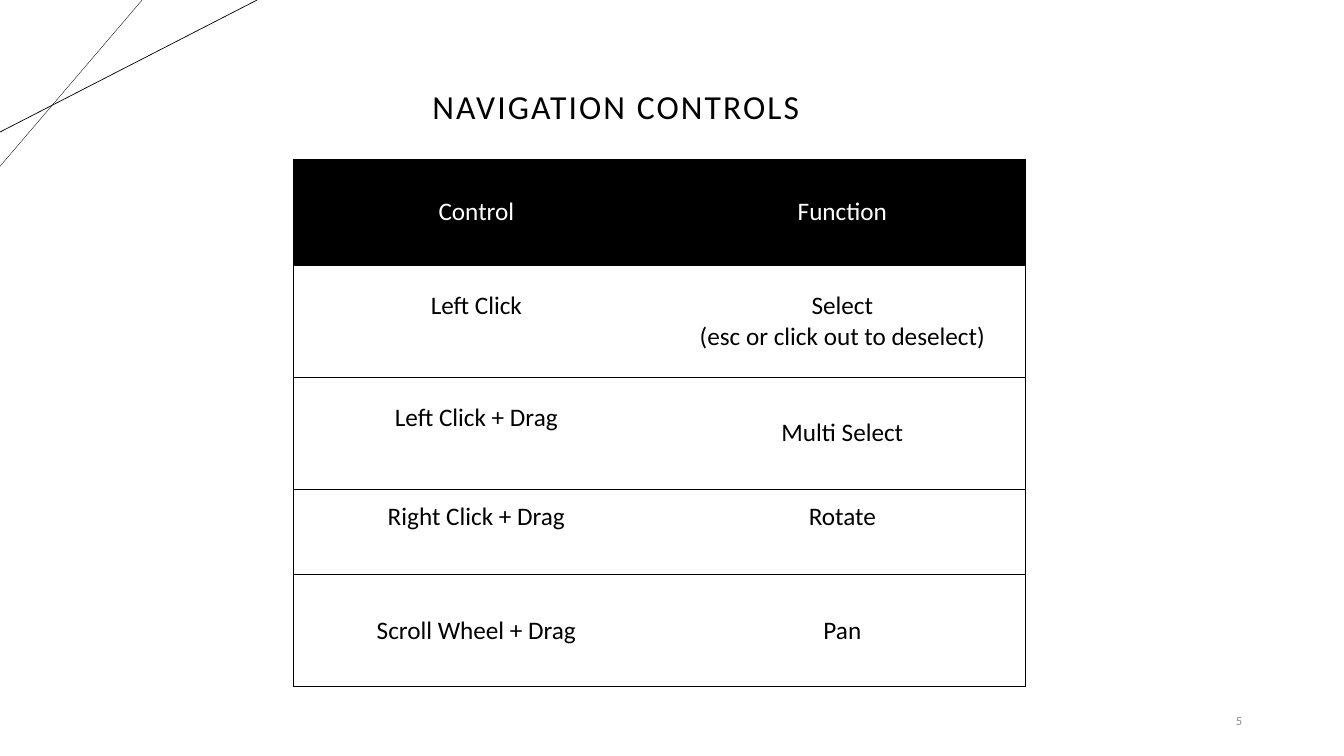
"""Build the slide on navigation controls."""
from dataclasses import dataclass

from lxml import etree
from pptx import Presentation
from pptx import util as u
from pptx.dml import color
from pptx.enum import shapes, text
from pptx.oxml import ns
from pptx.slide import Slide
from pptx.table import _Cell
from pptx.text.text import TextFrame

ALIGN = text.PP_ALIGN
MIDDLE = text.MSO_ANCHOR.MIDDLE


@dataclass(frozen=True)
class Theme:
    """Colours, font and type sizes."""
    ink: str = "000000"
    paper: str = "FFFFFF"
    muted: str = "8C8C8C"
    font: str = "Calibri"
    title: float = 24
    body: float = 18
    small: float = 9
    rule: float = 0.5
    hair: float = 0.25


@dataclass(frozen=True)
class Line:
    """A corner line from the top edge to the left edge."""
    top: float
    left: float
    width: float


@dataclass(frozen=True)
class Label:
    """A text box with its place and format."""
    words: str
    box: tuple[float, float, float, float]
    size: float
    tint: str
    align: ALIGN
    track: int = 0


@dataclass(frozen=True)
class Row:
    """A table row; lift raises the text of each cell."""
    height: float
    words: tuple[str, str]
    lift: tuple[float, float] = (0, 0)


THEME = Theme()
LINES = (Line(1.41, 1.65, THEME.hair), Line(2.55, 1.31, THEME.rule))
LABELS = (
    Label("NAVIGATION CONTROLS", (4.19, 0, 4.85, 2.1), THEME.title,
          THEME.ink, ALIGN.LEFT, 150),
    Label("5", (11.34, 6.95, 1.08, 0.4), THEME.small, THEME.muted, ALIGN.RIGHT),
)
LIFT = 0.3
ROWS = (
    Row(1.05, ("Control", "Function")),
    Row(1.11, ("Left Click", "Select\n(esc or click out to deselect)"), (LIFT, 0)),
    Row(1.11, ("Left Click + Drag", "Multi Select"), (LIFT, 0)),
    Row(0.85, ("Right Click + Drag", "Rotate"), (LIFT, LIFT)),
    Row(1.11, ("Scroll Wheel + Drag", "Pan")),
)
LEFT, TOP, WIDTH = 2.91, 1.58, 3.63
PAD = 0.05


def write(frame: TextFrame, words: str, size: float, tint: str,
          align: ALIGN, track: int = 0) -> None:
    """Fill a frame with formatted paragraphs."""
    frame.text = words
    style = {"name": THEME.font, "size": u.Pt(size), "bold": False}
    for para in frame.paragraphs:
        para.alignment = align
        for run in para.runs:
            for key, value in style.items():
                setattr(run.font, key, value)
            run.font.color.rgb = color.RGBColor.from_string(tint)
            if track:
                run._r.get_or_add_rPr().set("spc", str(track))


def draw_line(slide: Slide, line: Line) -> None:
    """Draw one corner line."""
    rule = slide.shapes.add_connector(
        shapes.MSO_CONNECTOR.STRAIGHT, u.Inches(line.top), u.Inches(0),
        u.Inches(0), u.Inches(line.left))
    rule.line.color.rgb = color.RGBColor.from_string(THEME.ink)
    rule.line.width = u.Pt(line.width)
    etree.SubElement(rule._element.spPr, ns.qn("a:effectLst"))


def draw_label(slide: Slide, label: Label) -> None:
    """Draw one text box."""
    frame = slide.shapes.add_textbox(*map(u.Inches, label.box)).text_frame
    frame.word_wrap = True
    frame.vertical_anchor = MIDDLE
    write(frame, label.words, label.size, label.tint, label.align, label.track)


def edge(cell: _Cell, side: str, shown: bool) -> None:
    """Set one cell border, or hide it."""
    props = cell._tc.get_or_add_tcPr()
    line = etree.SubElement(props, ns.qn(f"a:ln{side}"), w=str(u.Pt(THEME.rule)))
    fill = etree.SubElement(line, ns.qn("a:solidFill" if shown else "a:noFill"))
    if shown:
        etree.SubElement(fill, ns.qn("a:srgbClr"), val=THEME.ink)


def draw_table(slide: Slide, rows: tuple[Row, ...]) -> None:
    """Draw the table of controls."""
    count = len(rows[0].words)
    height = sum(row.height for row in rows)
    table = slide.shapes.add_table(
        len(rows), count, u.Inches(LEFT), u.Inches(TOP),
        u.Inches(WIDTH * count), u.Inches(height)).table
    table.first_row = table.horz_banding = False
    for col in table.columns:
        col.width = u.Inches(WIDTH)
    for r, row in enumerate(rows):
        table.rows[r].height = u.Inches(row.height)
        tint, back = (THEME.ink, THEME.paper) if r else (THEME.paper, THEME.ink)
        for c, (words, lift) in enumerate(zip(row.words, row.lift)):
            cell = table.cell(r, c)
            write(cell.text_frame, words, THEME.body, tint, ALIGN.CENTER)
            style = {"vertical_anchor": MIDDLE, "margin_top": u.Inches(PAD),
                     "margin_bottom": u.Inches(PAD + lift)}
            for key, value in style.items():
                setattr(cell, key, value)
            sides = {"L": c == 0, "R": c == count - 1, "T": True, "B": True}
            for side, shown in sides.items():
                edge(cell, side, shown)
            cell.fill.solid()
            cell.fill.fore_color.rgb = color.RGBColor.from_string(back)


def main() -> None:
    """Build and save the deck."""
    deck = Presentation()
    deck.slide_width, deck.slide_height = u.Inches(13.33), u.Inches(7.5)
    slide = deck.slides.add_slide(deck.slide_layouts[6])
    for line in LINES:
        draw_line(slide, line)
    draw_table(slide, ROWS)
    for label in LABELS:
        draw_label(slide, label)
    deck.save("out.pptx")


if __name__ == "__main__":
    main()
